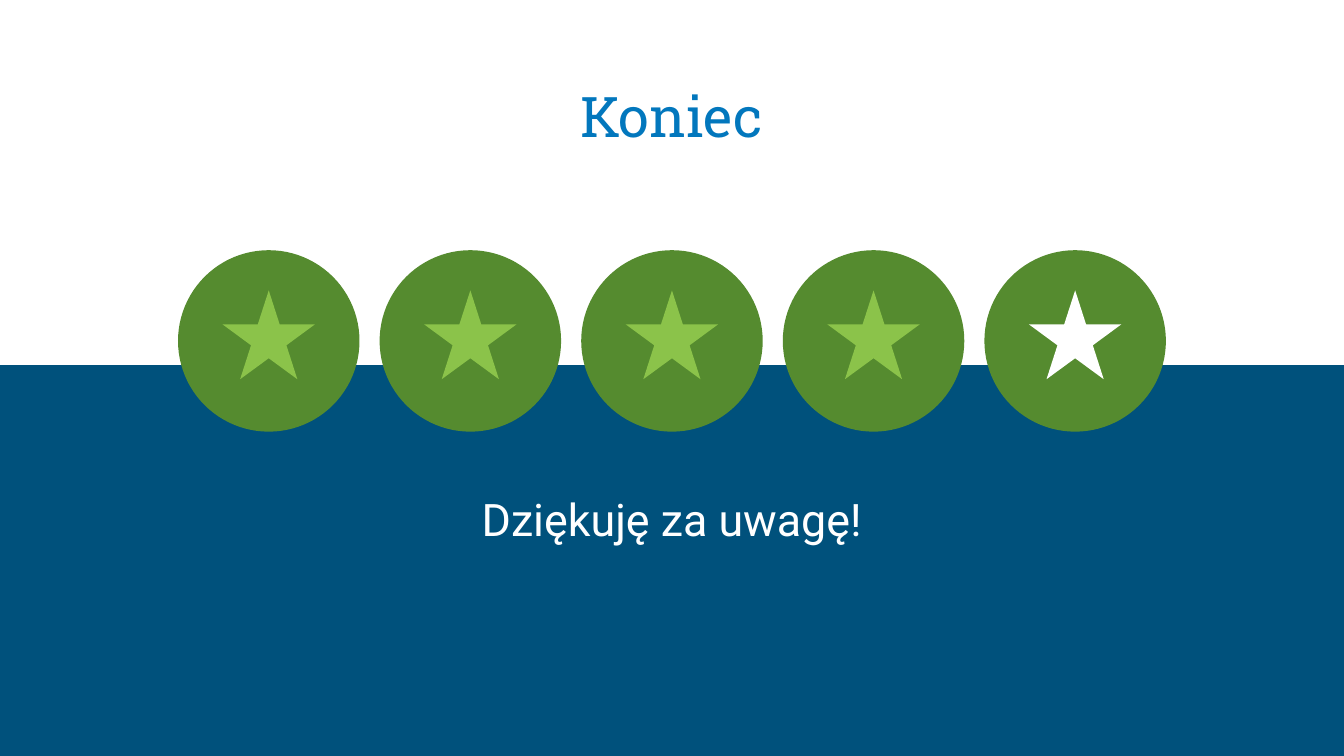
import pptx
import pptx.dml.color
import pptx.enum.shapes
import pptx.enum.text
import pptx.util

Cm = pptx.util.Cm
Pt = pptx.util.Pt
RGBColor = pptx.dml.color.RGBColor
ShapeType = pptx.enum.shapes.MSO_SHAPE
Anchor = pptx.enum.text.MSO_ANCHOR

NAVY = RGBColor(0x00, 0x51, 0x7C)
BLUE = RGBColor(0x02, 0x77, 0xBD)
WHITE = RGBColor(0xFF, 0xFF, 0xFF)
DARK_GREEN = RGBColor(0x55, 0x8B, 0x2F)
LIGHT_GREEN = RGBColor(0x8B, 0xC3, 0x4A)

SLIDE_WIDTH, SLIDE_HEIGHT = 25.4, 14.29
CIRCLE_SIZE, CIRCLE_TOP, CIRCLE_PITCH = 3.43, 4.73, 3.81
STAR_WIDTH, STAR_HEIGHT, STAR_TOP = 1.75, 1.68, 5.49
STAR_COLORS = [LIGHT_GREEN] * 4 + [WHITE]


def set_values(target, values):
    for name, value in values.items():
        setattr(target, name, value)


def add_filled_shape(shapes, kind, left, top, width, height, color):
    shape = shapes.add_shape(kind, Cm(left), Cm(top), Cm(width), Cm(height))
    shape.shadow.inherit = False
    shape.fill.solid()
    shape.fill.fore_color.rgb = color
    shape.line.fill.background()


def add_star_badge(slide, center, star_color):
    """Group a star with the circle behind it, both centred on one vertical line."""
    shapes = slide.shapes.add_group_shape().shapes
    add_filled_shape(shapes, ShapeType.OVAL, center - CIRCLE_SIZE / 2, CIRCLE_TOP,
                     CIRCLE_SIZE, CIRCLE_SIZE, DARK_GREEN)
    add_filled_shape(shapes, ShapeType.STAR_5_POINT, center - STAR_WIDTH / 2, STAR_TOP,
                     STAR_WIDTH, STAR_HEIGHT, star_color)


def add_centered_text(slide, text, top, height, anchor, color, font_values, paragraph_values):
    """Add a text box of the common text width."""
    text_box = slide.shapes.add_textbox(Cm(0.86), Cm(top), Cm(23.67), Cm(height))
    frame = text_box.text_frame
    margins = dict.fromkeys(
        ("margin_left", "margin_right", "margin_top", "margin_bottom"), Cm(0.25))
    set_values(frame, {"word_wrap": True, "vertical_anchor": anchor, **margins})
    paragraph = frame.paragraphs[0]
    set_values(paragraph, {"alignment": pptx.enum.text.PP_ALIGN.CENTER, **paragraph_values})
    run = paragraph.add_run()
    run.text = text
    set_values(run.font, font_values)
    run.font.color.rgb = color


def main():
    presentation = pptx.Presentation()
    set_values(presentation, {"slide_width": Cm(SLIDE_WIDTH), "slide_height": Cm(SLIDE_HEIGHT)})
    slide = presentation.slides.add_slide(presentation.slide_layouts[6])
    slide.background.fill.solid()
    slide.background.fill.fore_color.rgb = NAVY

    add_filled_shape(slide.shapes, ShapeType.RECTANGLE, 0, 0, 25.45, 6.9, WHITE)
    add_centered_text(slide, "Koniec", 1.04, 2.03, Anchor.BOTTOM, BLUE,
                      {"name": "Roboto Slab", "size": Pt(30)}, {})

    middle = (len(STAR_COLORS) - 1) / 2
    for index, star_color in enumerate(STAR_COLORS):
        add_star_badge(slide, SLIDE_WIDTH / 2 + (index - middle) * CIRCLE_PITCH, star_color)

    add_centered_text(slide, "Dziękuję za uwagę!", 8.89, 4.47, Anchor.TOP, WHITE,
                      {"name": "Roboto", "size": Pt(24)},
                      {"line_spacing": 1.15, "space_after": Pt(16)})
    presentation.save("out.pptx")


if __name__ == "__main__":
    main()
